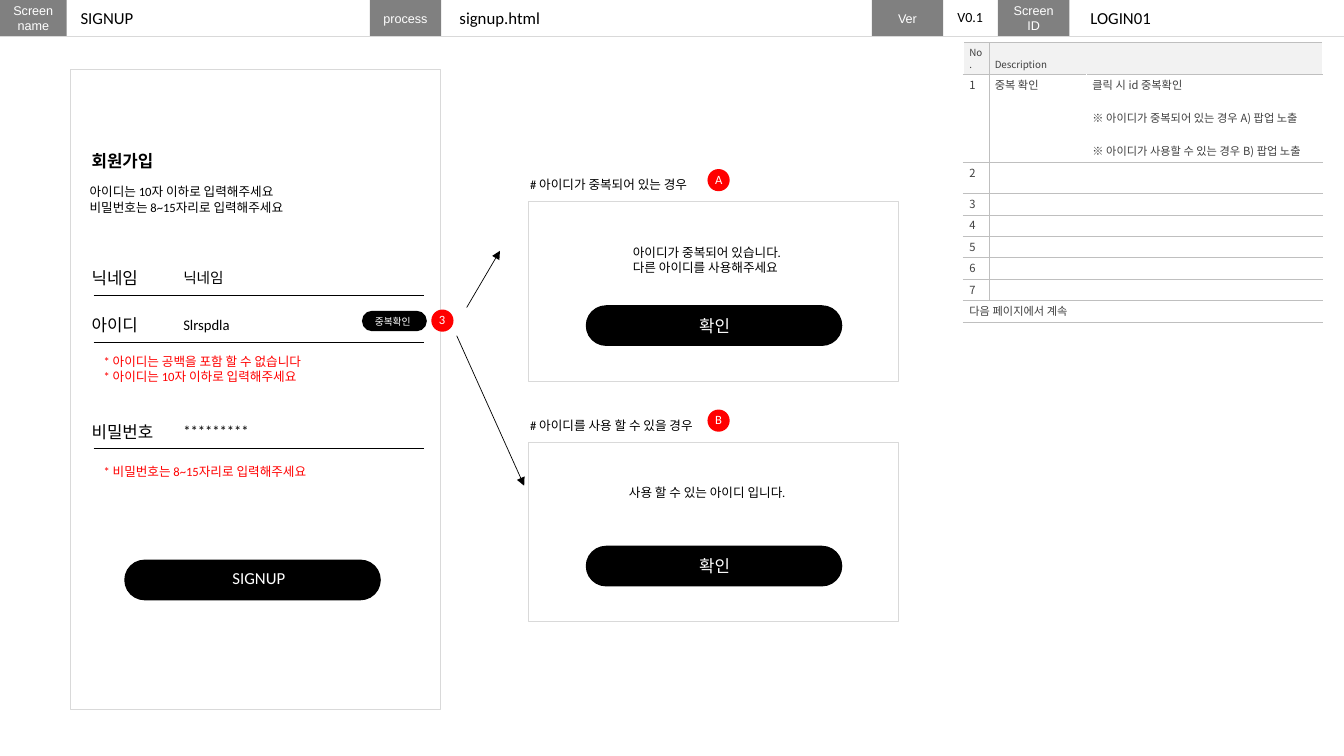
from lxml.etree import SubElement
from pptx import Presentation
from pptx.dml.color import RGBColor
from pptx.enum.shapes import MSO_CONNECTOR as Link, MSO_SHAPE as Preset
from pptx.enum.text import MSO_ANCHOR as Anchor, MSO_AUTO_SIZE as Fit, PP_ALIGN as Align
from pptx.oxml import parse_xml
from pptx.oxml.ns import nsdecls, qn
from pptx.util import Cm, Pt

BLACK, WHITE, RED = "000000", "FFFFFF", "FF0000"
GRAY, PALE, TABLE_LINE = "808080", "D9D9D9", "BFBFBF"


def color(code):
    return RGBColor.from_string(code)


class Wireframe:
    """Draws the elements of a screen specification; lengths are in cm."""

    font = "Calibri"
    table_font = "Noto Sans CJK KR"

    def __init__(self, slide):
        self.shapes = slide.shapes

    def style(self, paragraph, size, ink, name, bold=False):
        font = paragraph.font
        font.size, font.name, font.bold = Pt(size), name, bold
        font.color.rgb = color(ink)
        SubElement(font._element, qn("a:ea")).set("typeface", name)

    def fill_text(self, frame, lines, size, ink, name, bold=False):
        frame.text = "\n".join(lines)
        for paragraph in frame.paragraphs:
            self.style(paragraph, size, ink, name, bold)

    def shape(self, preset, left, top, width, height, fill, line=None, weight=0.25):
        shape = self.shapes.add_shape(preset, Cm(left), Cm(top), Cm(width), Cm(height))
        shape.shadow.inherit = False
        shape.fill.solid()
        shape.fill.fore_color.rgb = color(fill)
        if line:
            shape.line.color.rgb = color(line)
            shape.line.width = Pt(weight)
        else:
            shape.line.fill.background()
        return shape

    def panel(self, left, top, width, height):
        self.shape(Preset.RECTANGLE, left, top, width, height, WHITE, PALE)

    def pill(self, left, top, width, height):
        self.shape(Preset.ROUNDED_RECTANGLE, left, top, width, height,
                   BLACK, BLACK, 1).adjustments[0] = 0.5

    def header_tag(self, left, width, *lines):
        tag = self.shape(Preset.RECTANGLE, left, 0, width, 0.91, GRAY)
        frame = tag.text_frame
        frame.margin_left = frame.margin_right = Cm(0.1)
        frame.margin_top = frame.margin_bottom = Cm(0.1)
        frame.vertical_anchor = Anchor.MIDDLE
        self.fill_text(frame, lines, 9, WHITE, "Arial")
        for paragraph in frame.paragraphs:
            paragraph.alignment = Align.CENTER

    def text(self, left, top, width, *lines, size=9, ink=BLACK, bold=False):
        height = 0.25 + len(lines) * size * 0.043
        box = self.shapes.add_textbox(Cm(left), Cm(top), Cm(width), Cm(height))
        box.text_frame.word_wrap = False
        box.text_frame.auto_size = Fit.SHAPE_TO_FIT_TEXT
        self.fill_text(box.text_frame, lines, size, ink, self.font, bold)

    def badge(self, left, top, mark):
        self.shape(Preset.OVAL, left, top, 0.56, 0.56, RED)
        self.text(left - 0.06, top - 0.06, 0.69, mark, ink=WHITE)

    def line(self, x1, y1, x2, y2, ink=BLACK, arrow=False):
        link = self.shapes.add_connector(Link.STRAIGHT, Cm(x1), Cm(y1), Cm(x2), Cm(y2))
        link.line.color.rgb = color(ink)
        link.line.width = Pt(0.5)
        if arrow:
            SubElement(link.line._get_or_add_ln(), qn("a:tailEnd")).set("type", "triangle")
        SubElement(link._element.spPr, qn("a:effectLst"))

    def cell(self, cell, lines, size, sides, fill=None):
        cell.margin_left = cell.margin_right = Cm(0.15)
        cell.margin_top = cell.margin_bottom = Cm(0.09)
        self.fill_text(cell.text_frame, lines, size, "404040", self.table_font)
        for index, paragraph in enumerate(cell.text_frame.paragraphs):
            paragraph.line_spacing = 0.88
            paragraph.space_before = Pt(13.4 if index else 0)
        if fill:
            cell.fill.solid()
            cell.fill.fore_color.rgb = color(fill)
            cell.vertical_anchor = Anchor.BOTTOM
        else:
            cell.fill.background()
        properties = cell._tc.get_or_add_tcPr()
        for position, side in enumerate(sides):
            properties.insert(position, parse_xml(
                f'<a:ln{side} {nsdecls("a")} w="3175"><a:solidFill>'
                f'<a:srgbClr val="{TABLE_LINE}"/></a:solidFill></a:ln{side}>'))

    def table(self, left, top, widths, heights, rows):
        table = self.shapes.add_table(len(rows), len(widths), Cm(left), Cm(top),
                                      Cm(sum(widths)), Cm(sum(heights))).table
        table.first_row = table.horz_banding = False
        for column, width in zip(table.columns, widths):
            column.width = Cm(width)
        for row, height in zip(table.rows, heights):
            row.height = Cm(height)
        last = len(rows) - 1
        for r, row in enumerate(rows):
            for c, lines in enumerate(row):
                sides = "TB" if r == last or c == 2 else ("RTB", "LTB")[c]
                self.cell(table.cell(r, c), lines, 8 if r else 7, sides,
                          None if r else "F2F2F2")
        table.cell(0, 1).merge(table.cell(0, 2))
        table.cell(last, 0).merge(table.cell(last, 2))


deck = Presentation()
deck.slide_width, deck.slide_height = Cm(33.87), Cm(19.05)
page = Wireframe(deck.slides.add_slide(deck.slide_layouts[6]))

# Header bar
page.header_tag(0, 1.68, "Screen", "name")
page.header_tag(9.32, 1.8, "process")
page.header_tag(25.15, 1.8, "Screen", "ID")
page.header_tag(21.97, 1.8, "Ver")
page.line(0, 0.91, 33.87, 0.91, PALE)
page.text(23.88, 0.08, 1.17, "V0.1", size=10)
for left, width, value in ((1.78, 1.85, "SIGNUP"), (11.33, 2.57, "signup.html"),
                           (27.23, 2.06, "LOGIN01")):
    page.text(left, 0.08, width, value, size=12)

# Description table
description = ["클릭 시 id 중복확인", "※ 아이디가 중복되어 있는 경우 A) 팝업 노출",
               "※ 아이디가 사용할 수 있는 경우 B) 팝업 노출"]
entries = [[["No."], ["Description"], []], [["1"], ["중복 확인"], description]]
entries += [[[str(number)], [], []] for number in range(2, 8)]
entries.append([["다음 페이지에서 계속"], [], []])
page.table(24.28, 1.07, [0.64, 2.46, 5.94], [0.81, 2.21, 0.78] + [0.54] * 6, entries)

# Sign-up form
page.panel(1.78, 1.75, 9.32, 16.13)
page.text(2.06, 3.68, 2.24, "회원가입", size=12, bold=True)
page.text(2.01, 4.52, 5.87, "아이디는 10자 이하로 입력해주세요",
          "비밀번호는 8~15자리로 입력해주세요")
for baseline, label, label_width, entry, entry_width in (
        (7.44, "닉네임", 1.8, "닉네임", 1.63),
        (8.62, "아이디", 1.8, "Slrspdla", 1.7),
        (11.3, "비밀번호", 2.24, "*********", 2.18)):
    page.line(2.36, baseline, 10.69, baseline)
    page.text(2.06, baseline - 0.81, label_width, label, size=12)
    page.text(4.37, baseline - 0.79, entry_width, entry, size=10.5)
page.text(2.36, 8.79, 5.92, "* 아이디는 공백을 포함 할 수 없습니다",
          "* 아이디는 10자 이하로 입력해주세요", ink=RED)
page.text(2.36, 11.56, 6.1, "* 비밀번호는 8~15자리로 입력해주세요", ink=RED)
page.pill(3.15, 14.12, 6.43, 0.99)
page.text(5.61, 14.17, 1.85, "SIGNUP", size=12, ink=WHITE)

# Duplicate check
page.pill(9.14, 7.85, 1.6, 0.48)
page.text(9.2, 7.82, 1.42, "중복확인", size=7, ink=WHITE)
page.badge(10.87, 7.8, "3")

# Result popups
for top, mark, case, case_width, left, width, message in (
        (5.08, "A", "# 아이디가 중복되어 있는 경우", 4.88, 15.7, 4.57,
         ["아이디가 중복되어 있습니다.", "다른 아이디를 사용해주세요"]),
        (11.14, "B", "# 아이디를 사용 할 수 있을 경우", 5.03, 15.6, 4.78,
         ["사용 할 수 있는 아이디 입니다."])):
    page.panel(13.31, top, 9.32, 4.52)
    page.text(13.11, top - 0.74, case_width, case)
    page.badge(17.83, top - 0.82, mark)
    page.text(left, top + 0.96, width, *message)
    page.pill(14.78, top + 2.63, 6.43, 0.99)
    page.text(17.37, top + 2.74, 1.37, "확인", size=12, ink=WHITE)

# Arrows from the check to the popups
page.line(11.76, 7.75, 12.6, 6.32, arrow=True)
page.line(11.51, 8.46, 13.21, 12.24, arrow=True)

deck.save("out.pptx")
